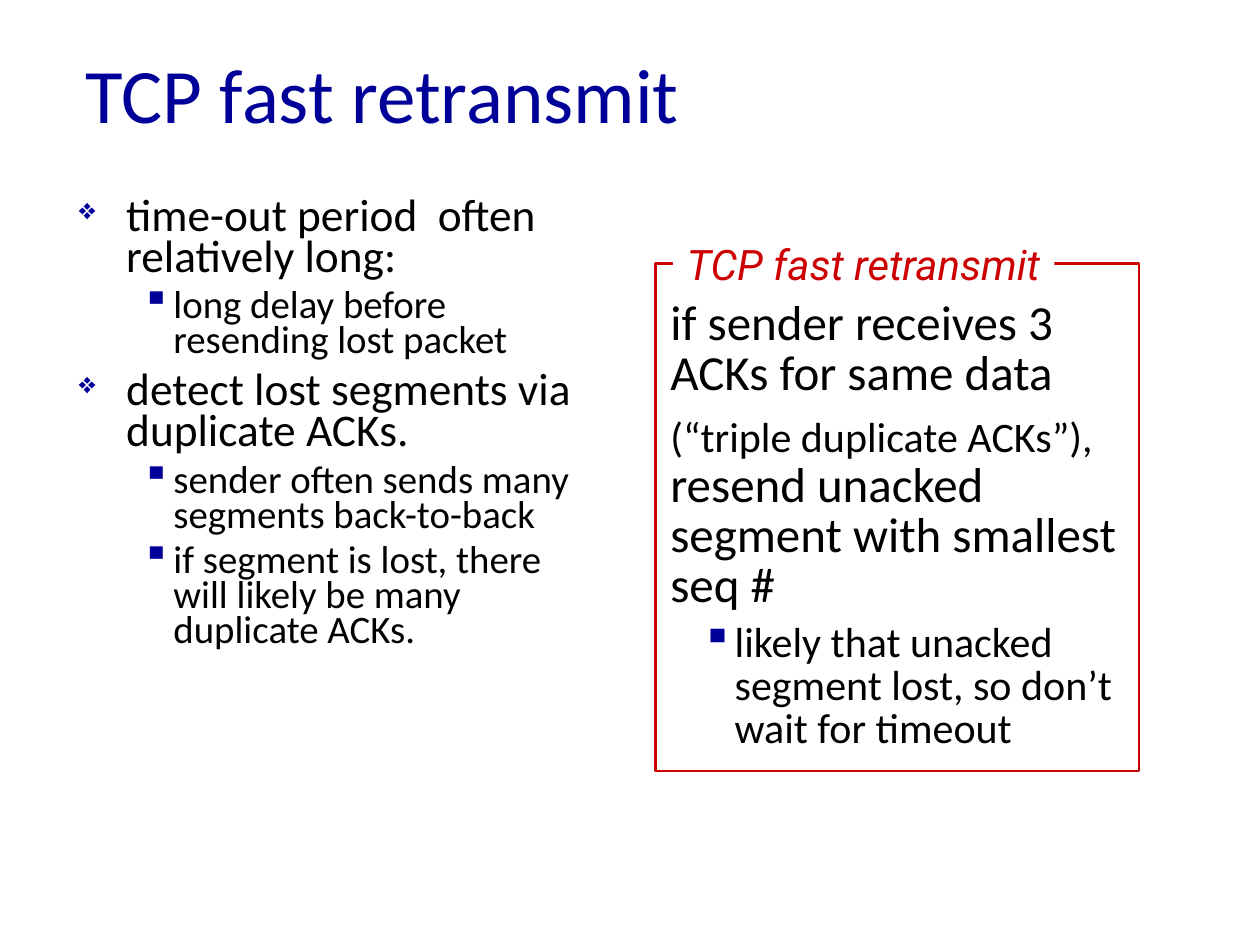
from lxml import etree
from pptx import Presentation
from pptx import util as u
from pptx.dml.color import RGBColor
from pptx.enum import shapes, text
from pptx.oxml import ns

NAVY, BLACK, RED, WHITE = "000099", "000000", "CC0000", "FFFFFF"


def rgb(hex_code):
    return RGBColor.from_string(hex_code)


class SlideBuilder:
    """Holds the text style and the current slide."""

    font = "Calibri"
    # Per level: bullet sign, bullet size in percent, space before
    bullets = [("❖", 65, 7), ("▪", 100, 6)]

    def __init__(self, slide):
        self.slide = slide

    def textbox(self, left, top, width, height, anchor=text.MSO_ANCHOR.TOP):
        box = self.slide.shapes.add_textbox(*map(u.Pt, (left, top, width, height)))
        box.text_frame.word_wrap = True
        box.text_frame.vertical_anchor = anchor
        return box

    def rectangle(self, left, top, width, height, fill=None, line=None):
        box = self.slide.shapes.add_shape(
            shapes.MSO_SHAPE.RECTANGLE, *map(u.Pt, (left, top, width, height)))
        box.shadow.inherit = False
        if fill:
            box.fill.solid()
            box.fill.fore_color.rgb = rgb(fill)
        else:
            box.fill.background()
        if line:
            box.line.color.rgb = rgb(line)
            box.line.width = u.Pt(1.5)
        else:
            box.line.fill.background()
        box.text_frame.word_wrap = True
        box.text_frame.vertical_anchor = text.MSO_ANCHOR.TOP
        return box

    def paragraph(self, box, words, size, color=BLACK, spacing=1.0, before=7,
                  align=text.PP_ALIGN.LEFT):
        frame = box.text_frame
        first = not frame.text
        para = frame.paragraphs[0] if first else frame.add_paragraph()
        para.text = words
        para.alignment = align
        para.line_spacing = spacing
        para.space_before = u.Pt(0 if first else before)
        self.style(para.runs[0], size, color)
        return para

    def style(self, run, size, color=BLACK):
        run.font.name = self.font
        run.font.size = u.Pt(size)
        run.font.color.rgb = rgb(color)

    def bullet(self, box, words, size, level, margin, hang, spacing):
        sign, percent, before = self.bullets[level]
        para = self.paragraph(box, words, size, spacing=spacing, before=before)
        para.level = level
        props = para._p.get_or_add_pPr()
        props.set("marL", str(u.Pt(margin)))
        props.set("indent", str(-u.Pt(hang)))
        tint = etree.SubElement(props, ns.qn("a:buClr"))
        etree.SubElement(tint, ns.qn("a:srgbClr"), val=NAVY)
        etree.SubElement(props, ns.qn("a:buSzPct"), val=str(percent * 1000))
        etree.SubElement(props, ns.qn("a:buChar"), char=sign)


def main():
    prs = Presentation()
    prs.slide_width, prs.slide_height = u.Pt(720), u.Pt(540)
    build = SlideBuilder(prs.slides.add_slide(prs.slide_layouts[6]))

    # Title
    title = build.textbox(42, 17.5, 396.5, 71.5, text.MSO_ANCHOR.MIDDLE)
    build.paragraph(title, "TCP fast retransmit", 44, NAVY)

    # Reasons on the left
    reasons = build.textbox(38, 110, 300, 366)
    for level, words in [
        (0, "time-out period  often relatively long:"),
        (1, "long delay before resending lost packet"),
        (0, "detect lost segments via duplicate ACKs."),
        (1, "sender often sends many segments back-to-back"),
        (1, "if segment is lost, there will likely be many duplicate ACKs."),
    ]:
        size, margin, hang = [(25.9, 27, 27), (22.2, 54, 18)][level]
        build.bullet(reasons, words, size, level, margin, hang, 0.75)

    # Rule on the right
    rule = build.rectangle(376, 168, 281, 300, fill=WHITE)
    build.paragraph(rule, "if sender receives 3 ACKs for same data", 28, spacing=0.85)
    action = build.paragraph(rule, "(“triple duplicate ACKs”),", 24, spacing=0.85)
    resend = action.add_run()
    resend.text = " resend unacked segment with smallest seq #"
    build.style(resend, 28)
    build.bullet(rule, "likely that unacked segment lost, so don’t wait for timeout",
                 24, 1, 36.75, 18.75, 0.85)

    # Red frame with its label set into the top edge
    build.rectangle(374.5, 150.5, 276.5, 290, line=RED)
    label = build.rectangle(384.5, 132.5, 218, 36, fill=WHITE)
    label.text_frame.word_wrap = False
    label.text_frame.auto_size = text.MSO_AUTO_SIZE.SHAPE_TO_FIT_TEXT
    heading = build.paragraph(label, "TCP fast retransmit", 24, RED,
                              align=text.PP_ALIGN.CENTER)
    heading.runs[0].font.name = "Roboto"
    heading.runs[0].font.italic = True

    prs.save("out.pptx")


if __name__ == "__main__":
    main()
